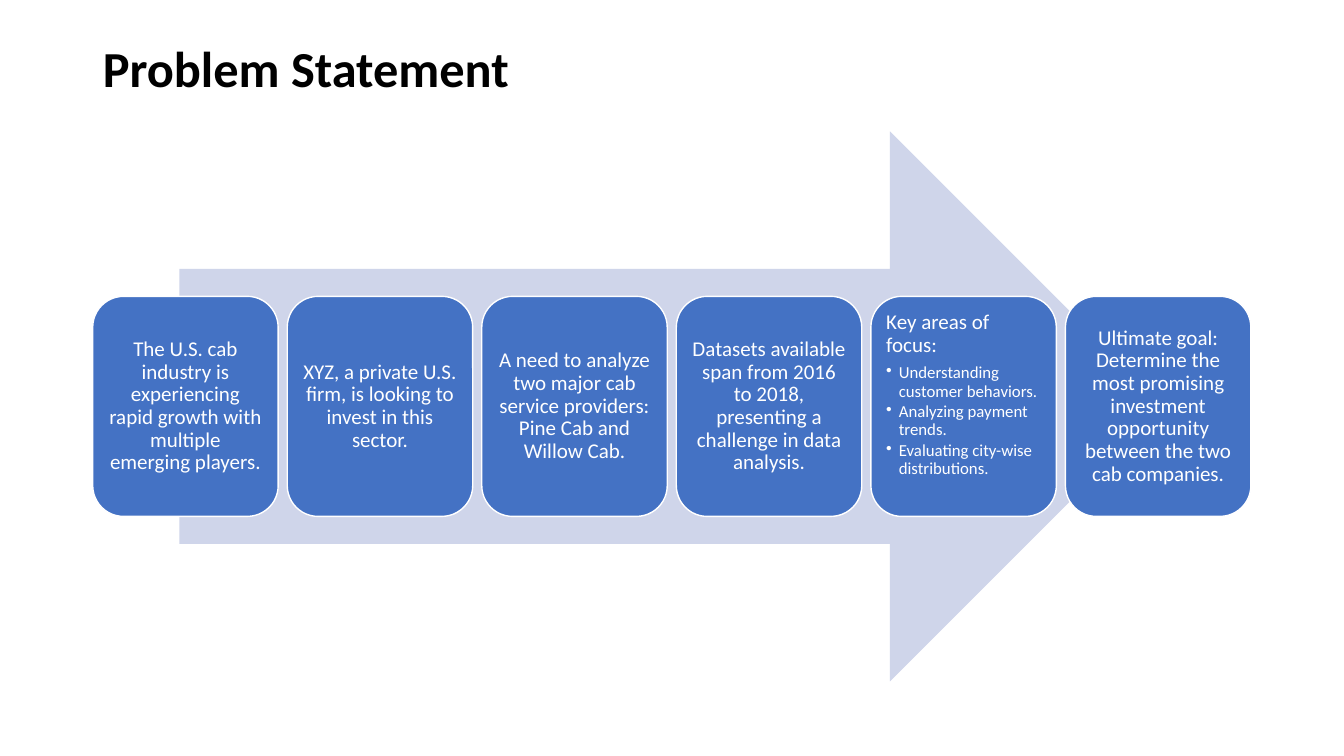
from lxml import etree
from pptx import Presentation
from pptx.enum import shapes, text
from pptx.dml.color import RGBColor
from pptx.oxml import ns
from pptx.util import Pt

COLORS = {"ink": "000000", "card": "4472C4", "arrow": "CFD5EA", "white": "FFFFFF"}
CARDS = [
    ["The U.S. cab industry is experiencing rapid growth with multiple emerging players."],
    ["XYZ, a private U.S. firm, is looking to invest in this sector."],
    ["A need to analyze two major cab service providers: Pine Cab and Willow Cab."],
    ["Datasets available span from 2016 to 2018, presenting a challenge in data analysis."],
    ["Key areas of focus:", "Understanding customer behaviors.",
     "Analyzing payment trends.", "Evaluating city-wise distributions."],
    ["Ultimate goal: Determine the most promising investment opportunity "
     "between the two cab companies."],
]
CARD_LEFT, CARD_TOP, CARD_WIDTH, CARD_HEIGHT, CARD_STEP = 66.24, 211.7, 132.5, 157.2, 138.96


class SlideBuilder:
    """Hold the slide style and add its elements, with lengths in points."""

    font = "Calibri"

    def __init__(self, prs):
        self.slide = prs.slides.add_slide(prs.slide_layouts[5])

    def color(self, name):
        return RGBColor.from_string(COLORS[name])

    def style(self, p, size, color, align, bold=False):
        p.alignment = align
        p.line_spacing = 0.9
        for r in p.runs:
            r.font.name = self.font
            r.font.size = Pt(size)
            r.font.bold = bold
            r.font.color.rgb = self.color(color)

    def title(self, wording, left, top, width, height):
        sp = self.slide.shapes.title
        sp.left, sp.top, sp.width, sp.height = map(Pt, (left, top, width, height))
        tf = sp.text_frame
        tf.text = wording
        tf.word_wrap = True
        tf.auto_size = text.MSO_AUTO_SIZE.NONE
        tf.vertical_anchor = text.MSO_ANCHOR.TOP
        tf.margin_top = Pt(7.7)
        self.style(tf.paragraphs[0], 36, "ink", text.PP_ALIGN.LEFT, bold=True)

    def shape(self, kind, fill, left, top, width, height):
        sp = self.slide.shapes.add_shape(kind, *map(Pt, (left, top, width, height)))
        sp.shadow.inherit = False
        sp.fill.solid()
        sp.fill.fore_color.rgb = self.color(fill)
        sp.line.fill.background()
        return sp

    def bullet(self, p):
        pPr = p._p.get_or_add_pPr()
        pPr.set("marL", str(Pt(9)))
        pPr.set("indent", str(-Pt(9)))
        etree.SubElement(pPr, ns.qn("a:buChar")).set("char", "•")

    def card(self, lines, left, top, width, height):
        sp = self.shape(shapes.MSO_SHAPE.ROUNDED_RECTANGLE, "card", left, top, width, height)
        sp.line.color.rgb = self.color("white")
        sp.line.width = Pt(1)
        tf = sp.text_frame
        tf.word_wrap = True
        tf.margin_left = tf.margin_right = tf.margin_top = tf.margin_bottom = Pt(4.5)
        has_list = len(lines) > 1
        tf.vertical_anchor = text.MSO_ANCHOR.TOP if has_list else text.MSO_ANCHOR.MIDDLE
        align = text.PP_ALIGN.LEFT if has_list else text.PP_ALIGN.CENTER
        tf.text = "\n".join(lines)
        for i, p in enumerate(tf.paragraphs):
            self.style(p, 12 if i else 15, "white", align)
            if has_list:
                p.space_after = Pt(1.8 if i else 5.2)
            if i:
                p.level = 1
                self.bullet(p)


def main():
    prs = Presentation()
    prs.slide_width, prs.slide_height = Pt(960), Pt(540)
    s = SlideBuilder(prs)
    s.title("Problem Statement", 66.24, 23.76, 828, 104.4)
    s.shape(shapes.MSO_SHAPE.RIGHT_ARROW, "arrow", 128.2, 93.8, 704, 393)
    for i, lines in enumerate(CARDS):
        s.card(lines, CARD_LEFT + i * CARD_STEP, CARD_TOP, CARD_WIDTH, CARD_HEIGHT)
    prs.save("out.pptx")


if __name__ == "__main__":
    main()
